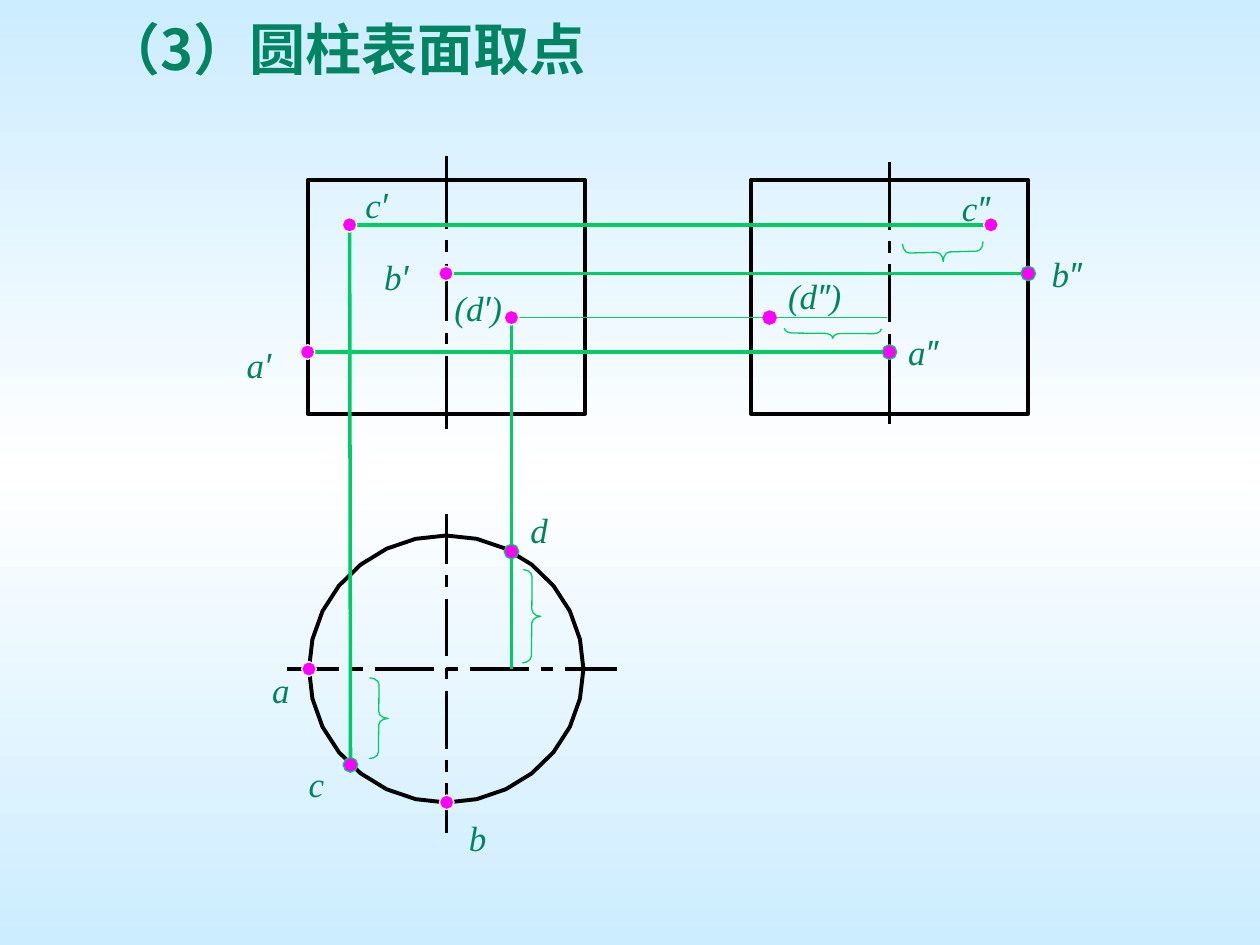
"""Build a slide on locating points on the surface of a cylinder."""
from copy import deepcopy
from dataclasses import dataclass
from math import cos, pi, sin

from lxml import etree
from pptx import Presentation
from pptx.dml.color import RGBColor
from pptx.enum import shapes, text
from pptx.oxml.ns import qn
from pptx.util import Pt


@dataclass(frozen=True)
class Theme:
    ink: str = "008461"
    outline: str = "000000"
    guide: str = "00CC66"
    dot: str = "FF00FF"
    white: str = "FFFFFF"
    sky: str = "CCECFF"
    title_font: str = "Noto Sans CJK SC"
    label_font: str = "Times New Roman"
    prime_font: str = "Arial"
    title_size: float = 32
    label_size: float = 20
    bold_line: float = 2.25
    brace_line: float = 0.75
    hairline: float = 0


T = Theme()
TITLE = "（3）圆柱表面取点"
VIEW_SIZE = (158.5, 133.5)
VIEWS = [(175.9, 102.9), (429.1, 102.9)]
CIRCLE = (255, 382.3, 78.4, 76.3)
DOT_RADIUS = 4.2
LABEL_HEIGHT = 31.7

# axis: x, y, vertical, end dash, unit, long dashes
AXES = [
    (255.1, 89.3, True, 41.5, 6.6, 1),
    (508.3, 92.7, True, 38.6, 6.6, 1),
    (255.1, 293.6, True, 28.6, 6.6, 2),
    (164.2, 382.3, False, 29.5, 6.8, 2),
]
POINTS = {
    "a′": (175.8, 201.2, T.white),
    "a": (176.6, 382.3, T.white),
    "a″": (508.3, 201.2, T.guide),
    "b′": (254.9, 156.3, T.white),
    "b": (255.3, 458.5, T.white),
    "b″": (587.6, 156.3, T.guide),
    "c′": (199.8, 128.5, T.white),
    "c": (200.3, 437.1, T.guide),
    "c″": (566.3, 128.5, T.white),
    "(d′)": (292.3, 181.5, T.white),
    "d": (292.3, 315.2, T.guide),
    "(d″)": (439.8, 181.5, None),
}
LEFT, CENTER = text.PP_ALIGN.LEFT, text.PP_ALIGN.CENTER
LABELS = {
    "a′": (129.9, 192.3, 36, CENTER),
    "a": (148.3, 378.3, 24.5, CENTER),
    "a″": (511.8, 185.3, 46, LEFT),
    "b′": (208.4, 142.1, 36, CENTER),
    "b": (260.7, 462.5, 24.5, CENTER),
    "b″": (593.8, 140.7, 46, LEFT),
    "c′": (200.3, 101, 29.5, CENTER),
    "c": (169.2, 432, 23, CENTER),
    "c″": (538.9, 103, 37.4, CENTER),
    "(d′)": (251.3, 159.8, 43.9, CENTER),
    "d": (295.9, 286.7, 24.5, CENTER),
    "(d″)": (426.6, 152.9, 77.8, CENTER),
}
PROJECTIONS = [("c′", "c″"), ("a′", "a″"), ("b′", "b″"), ("c′", "c")]
D_GUIDES = [(292.3, 181.5, 507, 181.5), (292.3, 181.5, 292.3, 382.5)]
# brace: x, y, width, height, rotation, curvature
BRACES = [
    (211, 387.4, 10.8, 46.1, 180.5, 0.35),
    (533.5, 121, 10.8, 46.1, 268.4, 0.35),
    (298.7, 325.5, 10.3, 53.3, 180.5, 0.4),
    (473.1, 162.8, 5.6, 55.4, 270.4, 0.8),
]


def rgb(color):
    return RGBColor.from_string(color)


def style(sp, line, width=T.hairline, fill=None):
    sp.shadow.inherit = False
    if fill:
        sp.fill.solid()
        sp.fill.fore_color.rgb = rgb(fill)
    else:
        sp.fill.background()
    if line:
        sp.line.color.rgb = rgb(line)
        sp.line.width = Pt(width)
    else:
        sp.line.fill.background()


def add_line(s, x1, y1, x2, y2, color, width=T.hairline):
    ln = s.shapes.add_connector(
        shapes.MSO_CONNECTOR.STRAIGHT, Pt(x1), Pt(y1), Pt(x2), Pt(y2))
    ln.line.color.rgb = rgb(color)
    ln.line.width = Pt(width)
    etree.SubElement(ln._element.spPr, qn("a:effectLst"))


def add_axis(s, x, y, vertical, end, unit, longs):
    dashes = [end, unit] + [5 * unit, unit] * longs + [end]
    pos = 0
    for dash in dashes:
        if vertical:
            add_line(s, x, y + pos, x, y + pos + dash, T.outline)
        else:
            add_line(s, x + pos, y, x + pos + dash, y, T.outline)
        pos += dash + unit


def add_polygon(s, cx, cy, rx, ry, sides):
    angles = [2 * pi * i / sides for i in range(sides)]
    pts = [(Pt(cx + rx * cos(a)), Pt(cy + ry * sin(a))) for a in angles]
    fb = s.shapes.build_freeform(*pts[0], scale=1.0)
    fb.add_line_segments(pts[1:], close=True)
    return fb.convert_to_shape()


def add_text(s, x, y, w, h, runs, size, align, bold=False, italic=False, wrap=False):
    tf = s.shapes.add_textbox(Pt(x), Pt(y), Pt(w), Pt(h)).text_frame
    tf.word_wrap = wrap
    tf.vertical_anchor = text.MSO_ANCHOR.MIDDLE
    p = tf.paragraphs[0]
    p.alignment = align
    for content, font in runs:
        r = p.add_run()
        r.text = content
        r.font.size = Pt(size)
        r.font.bold, r.font.italic = bold, italic
        r.font.color.rgb = rgb(T.ink)
        r.font.name = font
        etree.SubElement(r._r.get_or_add_rPr(), qn("a:ea"), typeface=font)


def label_runs(label):
    for mark in "′″":
        if mark in label:
            before, after = label.split(mark)
            runs = [(before, T.label_font), (mark, T.prime_font), (after, T.label_font)]
            return [run for run in runs if run[0]]
    return [(label, T.label_font)]


def paint_background(s):
    fill = s.background.fill
    fill.gradient()
    fill.gradient_angle = 270
    stops = next(s.element.iter(qn("a:gsLst")))
    stops.insert(1, deepcopy(stops[0]))
    for stop, pos, color in zip(fill.gradient_stops, (0, 0.5, 1), (T.sky, T.white, T.sky)):
        stop.position = pos
        stop.color.rgb = rgb(color)


def main():
    prs = Presentation()
    prs.slide_width, prs.slide_height = Pt(720), Pt(540)
    s = prs.slides.add_slide(prs.slide_layouts[6])
    paint_background(s)
    add_text(s, 52.6, 0, 612, 54.7, [(TITLE, T.title_font)], T.title_size, LEFT,
             bold=True, wrap=True)
    for axis in AXES:
        add_axis(s, *axis)
    style(add_polygon(s, *CIRCLE, 28), T.outline, T.bold_line)
    for x, y in VIEWS:
        view = s.shapes.add_shape(
            shapes.MSO_SHAPE.RECTANGLE, Pt(x), Pt(y), *map(Pt, VIEW_SIZE))
        style(view, T.outline, T.bold_line)
    for start, end in PROJECTIONS:
        add_line(s, *POINTS[start][:2], *POINTS[end][:2], T.guide)
    for guide, width in zip(D_GUIDES, (T.brace_line, T.hairline)):
        add_line(s, *guide, T.guide, width)
    for x, y, w, h, rotation, curve in BRACES:
        brace = s.shapes.add_shape(shapes.MSO_SHAPE.LEFT_BRACE, Pt(x), Pt(y), Pt(w), Pt(h))
        brace.rotation = rotation
        brace.adjustments[0] = curve
        style(brace, T.guide, T.brace_line)
    for label, (x, y, edge) in POINTS.items():
        style(add_polygon(s, x, y, DOT_RADIUS, DOT_RADIUS, 8), edge, fill=T.dot)
        left, top, width, align = LABELS[label]
        add_text(s, left, top, width, LABEL_HEIGHT, label_runs(label), T.label_size,
                 align, italic=True)
    prs.save("out.pptx")


if __name__ == "__main__":
    main()
